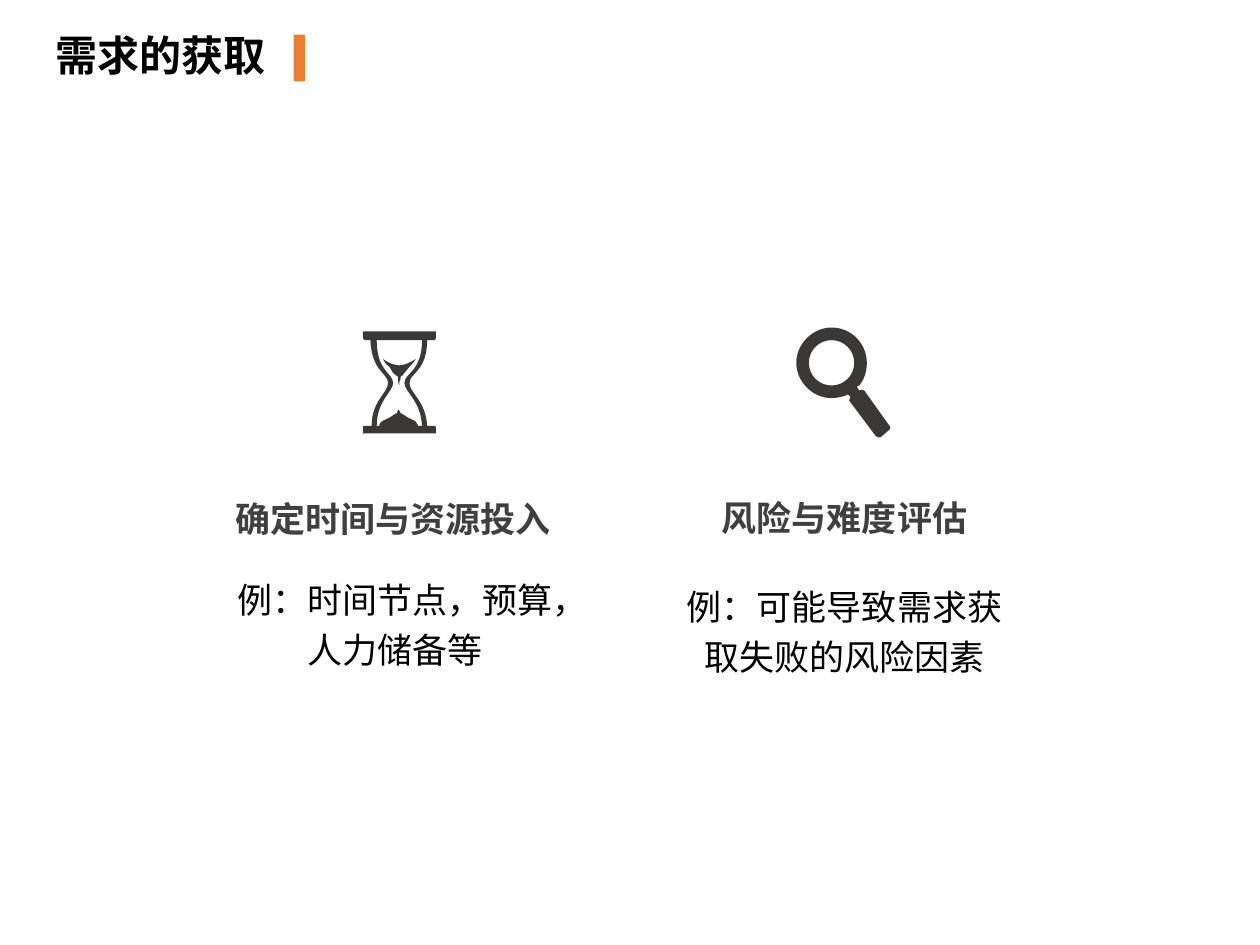
from lxml import etree
from pptx import Presentation
from pptx.dml.color import RGBColor
from pptx.enum.shapes import MSO_SHAPE
from pptx.enum.text import MSO_AUTO_SIZE, PP_ALIGN
from pptx.oxml.ns import qn
from pptx.util import Cm, Pt

RECTANGLE = MSO_SHAPE.RECTANGLE
LEFT, CENTER = PP_ALIGN.LEFT, PP_ALIGN.CENTER
FIT_SHAPE = MSO_AUTO_SIZE.SHAPE_TO_FIT_TEXT
FONT = "Noto Sans CJK SC"
BLACK, GRAY, DARK, ORANGE = "000000", "404040", "3B3838", "ED7D31"
ICON_UNIT = Cm(0.0254)

MAGNIFIER = [
    [(660, 270), (650, 270, 642, 278, 642, 288), (642, 298, 650, 306, 660, 306),
     (670, 306, 678, 298, 678, 288), (678, 278, 670, 270, 660, 270)],
    [(660, 260), (676, 260, 688, 273, 688, 288), (688, 295, 686, 301, 682, 306),
     (680, 307), (682, 310), (682, 310), (683, 309, 685, 309, 686, 310), (706, 338),
     (707, 339, 707, 340, 706, 341), (699, 347), (698, 348, 696, 347, 695, 346),
     (674, 318), (674, 317, 674, 316, 675, 315), (675, 315), (673, 313), (671, 314),
     (668, 315, 664, 316, 660, 316), (645, 316, 632, 303, 632, 288),
     (632, 273, 645, 260, 660, 260)],
]
HOURGLASS = [
    [(345, 338), (345, 338, 346, 338, 346, 339), (346, 344), (288, 344), (288, 339),
     (288, 338, 289, 338, 290, 338), (295, 338), (295, 318, 308, 312, 308, 304),
     (308, 296, 295, 295, 294, 270), (290, 270), (289, 270, 288, 269, 288, 268),
     (288, 263), (346, 263), (346, 268), (346, 269, 345, 270, 345, 270), (339, 270),
     (339, 295, 325, 296, 325, 304), (325, 312, 338, 318, 339, 338), (345, 338)],
    [(321, 304), (321, 296, 335, 295, 335, 270), (299, 270),
     (299, 295, 312, 296, 312, 304), (312, 311, 299, 318, 299, 338), (301, 338),
     (301, 336, 303, 334, 306, 333), (310, 331), (313, 329, 314, 328, 315, 328),
     (315, 327, 316, 326, 316, 325), (317, 326, 318, 327, 318, 328),
     (319, 328, 320, 329, 323, 331), (327, 333), (330, 334, 331, 336, 332, 338),
     (335, 338), (334, 318, 321, 311, 321, 304)],
    [(318, 299), (318, 300, 318, 301, 317, 303), (317, 304, 317, 305, 317, 306),
     (317, 305, 317, 304, 316, 303), (316, 301, 316, 300, 316, 299),
     (315, 299, 314, 297, 312, 296), (309, 291), (306, 289, 305, 287, 304, 285),
     (308, 288, 313, 290, 317, 290), (321, 290, 325, 288, 330, 285),
     (329, 287, 327, 289, 325, 291), (321, 296), (320, 297, 319, 299, 318, 299)],
]


def color(value):
    """Turn a hex string into an RGB colour."""
    return RGBColor.from_string(value)


def scaled(segment):
    """Convert icon units to slide lengths."""
    return [value * ICON_UNIT for value in segment]


class SlideBuilder:
    """Draws styled elements on the current slide."""

    def __init__(self, slide, font_name):
        self.slide = slide
        self.font_name = font_name

    def text(self, content, left, top, width, height, size=20, ink=BLACK,
             bold=False, align=CENTER, spacing=None, wrap=True):
        """Add a text box with one paragraph."""
        box = self.slide.shapes.add_textbox(Cm(left), Cm(top), Cm(width), Cm(height))
        frame = box.text_frame
        frame.word_wrap = wrap
        frame.auto_size = FIT_SHAPE
        paragraph = frame.paragraphs[0]
        paragraph.text = content
        paragraph.alignment = align
        paragraph.line_spacing = spacing
        font = paragraph.font
        font.name, font.size, font.bold = self.font_name, Pt(size), bold
        font.color.rgb = color(ink)
        properties = paragraph._p.pPr.find(qn("a:defRPr"))
        etree.SubElement(properties, qn("a:ea"), typeface=self.font_name)

    def paint(self, shape, fill):
        """Give a shape a flat fill without line or shadow."""
        shape.shadow.inherit = False
        shape.fill.solid()
        shape.fill.fore_color.rgb = color(fill)
        shape.line.fill.background()

    def bar(self, left, top, width, height, fill):
        """Add a filled rectangle."""
        self.paint(self.slide.shapes.add_shape(
            RECTANGLE, Cm(left), Cm(top), Cm(width), Cm(height)), fill)

    def icon(self, outlines, fill):
        """Add a freeform whose six-number segments are cubic curves."""
        builder = self.slide.shapes.build_freeform(*scaled(outlines[0][0]))
        for index, outline in enumerate(outlines):
            if index:
                builder.move_to(*scaled(outline[0]))
            builder.add_line_segments([scaled(segment[-2:]) for segment in outline[1:]])
        shape = builder.convert_to_shape()
        segments = [segment for outline in outlines for segment in outline[1:]]
        lines = list(shape.element.iter(qn("a:lnTo")))
        for line, segment in zip(lines, segments):
            if len(segment) == 6:
                self.curve(line, scaled(segment), shape.left, shape.top)
        self.paint(shape, fill)

    def curve(self, line, values, left, top):
        """Turn a line segment into a cubic curve."""
        line.tag = qn("a:cubicBezTo")
        line.clear()
        for x, y in zip(values[::2], values[1::2]):
            etree.SubElement(line, qn("a:pt"), x=str(x - left), y=str(y - top))


def main():
    """Build the requirements slide and save it."""
    presentation = Presentation()
    presentation.slide_width, presentation.slide_height = Cm(25.4), Cm(19.05)
    slide = presentation.slides.add_slide(presentation.slide_layouts[6])
    builder = SlideBuilder(slide, FONT)

    builder.text("需求的获取", 0.87, 0.47, 6.91, 1.27, size=24, bold=True, align=LEFT)
    builder.bar(5.92, 0.7, 0.23, 0.94, ORANGE)

    builder.text("确定时间与资源投入", 4.49, 9.91, 6.93, 1.12,
                 ink=GRAY, bold=True, align=LEFT, wrap=False)
    builder.text("例：时间节点，预算，人力储备等", 4.46, 11.36, 7.01, 2.18, spacing=1.2)
    builder.text("风险与难度评估", 14.04, 9.88, 5.97, 1.12, ink=GRAY, bold=True)
    builder.text("例：可能导致需求获取失败的风险因素", 13.52, 11.5, 7.01, 2.31, spacing=1.2)

    builder.icon(MAGNIFIER, DARK)
    builder.icon(HOURGLASS, DARK)
    presentation.save("out.pptx")


if __name__ == "__main__":
    main()
